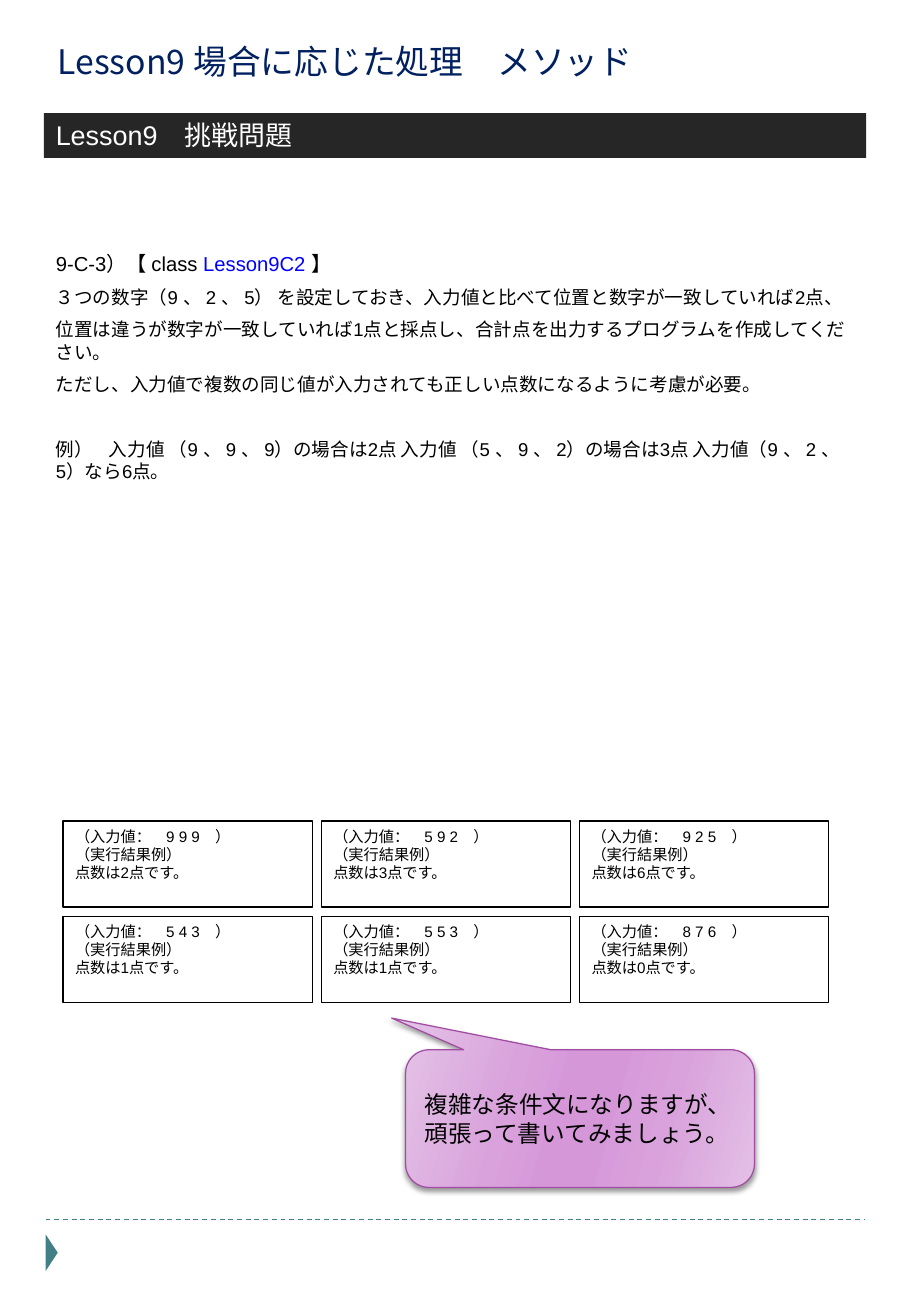
from lxml.etree import SubElement as Sub
from pptx import Presentation
from pptx.dml.color import RGBColor as Rgb
from pptx.enum.dml import MSO_LINE as Dash
from pptx.enum.shapes import MSO_CONNECTOR as Wire, MSO_SHAPE as Kind
from pptx.enum.text import MSO_ANCHOR as Anchor, PP_ALIGN as Align
from pptx.oxml.ns import qn
from pptx.util import Pt

HUES = {
    "black": "000000", "white": "FFFFFF", "bar": "262626", "navy": "002060",
    "blue": "0000FF", "teal": "438086", "plum": "A04DA3",
    "pale": "E3C0E5", "mid": "D9A2DC", "deep": "D697D9",
}
BLEND = [(0, "pale"), (30, "mid"), (45, "deep"), (55, "deep"), (73, "mid"), (100, "pale")]
CASES = [("9 9 9", 2), ("5 9 2", 3), ("9 2 5", 6),
         ("5 4 3", 1), ("5 5 3", 1), ("8 7 6", 0)]
TASK = [
    (0, 12, [("9-C-3）【 class ", "black"), ("Lesson9C2 ", "blue"), ("】", "black")]),
    (6, 11, [("３つの数字（9 、 2 、 5） を設定しておき、入力値と比べて位置と数字が一致していれば2点、", "black")]),
    (6, 11, [("位置は違うが数字が一致していれば1点と採点し、合計点を出力するプログラムを作成してください。", "black")]),
    (6, 11, [("ただし、入力値で複数の同じ値が入力されても正しい点数になるように考慮が必要。", "black")]),
    (25, 11, [("例）\t入力値 （9 、 9 、 9）の場合は2点 入力値 （5 、 9 、 2）の場合は3点 "
               "入力値（9 、 2 、 5）なら6点。", "black")]),
]


def tint(name):
    return Rgb.from_string(HUES[name])


def add_run(para, text, size, hue, font="Arial"):
    run = para.add_run()
    run.text = text
    run.font.size = Pt(size)
    run.font.name = font
    run.font.color.rgb = tint(hue)
    return run


def add_text(shape, lines, size, hue, font="Arial", anchor=Anchor.TOP):
    frame = shape.text_frame
    frame.word_wrap = True
    frame.vertical_anchor = anchor
    for i, line in enumerate(lines):
        para = frame.add_paragraph() if i else frame.paragraphs[0]
        para.alignment = Align.LEFT
        add_run(para, line, size, hue, font)


def add_box(slide, kind, box, fill=None, line=None):
    shape = slide.shapes.add_shape(kind, *map(Pt, box))
    shape.shadow.inherit = False
    if fill:
        shape.fill.solid()
        shape.fill.fore_color.rgb = tint(fill)
    if line:
        shape.line.color.rgb = tint(line)
        shape.line.width = Pt(0.75)
    else:
        shape.line.fill.background()
    return shape


def add_title(slide, x, y, w, h):
    title = slide.shapes.add_textbox(*map(Pt, (x, y, w, h)))
    font = "Noto Sans CJK JP"
    add_text(title, ["Lesson9 場合に応じた処理　メソッド"], 20, "navy", font, Anchor.MIDDLE)
    props = title.text_frame.paragraphs[0].runs[0].font._element
    Sub(props, qn("a:ea"), typeface=font)


def add_bar(slide, x, y, w, h):
    bar = add_box(slide, Kind.RECTANGLE, (x, y, w, h), "bar")
    add_text(bar, ["Lesson9　挑戦問題"], 16, "white")


def add_task(slide, x, y, w, h):
    frame = slide.shapes.add_textbox(*map(Pt, (x, y, w, h))).text_frame
    frame.word_wrap = True
    for i, (gap, size, runs) in enumerate(TASK):
        para = frame.add_paragraph() if i else frame.paragraphs[0]
        para.space_before = Pt(gap)
        for text, hue in runs:
            add_run(para, text, size, hue)
    tabs = Sub(para._p.get_or_add_pPr(), qn("a:tabLst"))
    Sub(tabs, qn("a:tab"), pos=str(Pt(31.5)), algn="l")


def add_cases(slide, x, y, w, h):
    gap = 5.4
    wide, high = (w - 2 * gap) / 3, (h - gap) / 2
    for i, (digits, score) in enumerate(CASES):
        row, col = divmod(i, 3)
        place = (x + col * (wide + gap), y + row * (high + gap), wide, high)
        case = add_box(slide, Kind.RECTANGLE, place, "white", "black")
        lines = [f"（入力値：　{digits}　）", "（実行結果例）", f"点数は{score}点です。"]
        add_text(case, lines, 9, "black")


def add_blend(shape):
    props = shape._element.spPr
    grad = props.find(qn("a:gradFill"))
    for child in list(grad):
        grad.remove(child)
    stops = Sub(grad, qn("a:gsLst"))
    for pos, hue in BLEND:
        stop = Sub(stops, qn("a:gs"), pos=str(pos * 1000))
        Sub(stop, qn("a:srgbClr"), val=HUES[hue])
    Sub(grad, qn("a:lin"), ang=str(16 * 60000), scaled="0")


def add_shade(shape):
    glow = shape._element.spPr.find(qn("a:effectLst"))
    shade = Sub(glow, qn("a:outerShdw"), blurRad=str(Pt(3)), dist=str(Pt(2)),
                dir=str(90 * 60000), algn="ctr", rotWithShape="0")
    hue = Sub(shade, qn("a:srgbClr"), val=HUES["black"])
    Sub(hue, qn("a:alpha"), val="40000")


def add_hint(slide, x, y, w, h):
    hint = add_box(slide, Kind.ROUNDED_RECTANGULAR_CALLOUT, (x, y, w, h), line="plum")
    for i, value in enumerate((-0.54, -0.73, 0.17)):
        hint.adjustments[i] = value
    hint.fill.gradient()
    add_blend(hint)
    add_shade(hint)
    lines = ["複雑な条件文になりますが、", "頑張って書いてみましょう。"]
    add_text(hint, lines, 14, "black", "Calibri", Anchor.MIDDLE)


def add_foot(slide, x, y, w):
    rule = slide.shapes.add_connector(Wire.STRAIGHT, Pt(x), Pt(y), Pt(x + w), Pt(y))
    rule.line.color.rgb = tint("teal")
    rule.line.width = Pt(0.75)
    rule.line.dash_style = Dash.DASH
    Sub(rule._element.spPr, qn("a:effectLst"))
    long, short = 21.8, 7.2
    shift = (long - short) / 2
    mark = add_box(slide, Kind.ISOSCELES_TRIANGLE,
                   (x - shift, y + 8.8 + shift, long, short), "teal")
    mark.rotation = 90


def main():
    deck = Presentation()
    deck.slide_width, deck.slide_height = Pt(540), Pt(780)
    slide = deck.slides.add_slide(deck.slide_layouts[6])
    add_foot(slide, 27, 722.8, 486)
    add_title(slide, 27, 17.3, 486, 38.2)
    add_bar(slide, 26, 67, 487.5, 26.6)
    add_task(slide, 26, 145.5, 486, 160)
    add_cases(slide, 37.4, 486.6, 453.8, 107.4)
    add_hint(slide, 240.4, 622.2, 206.8, 81.6)
    deck.save("out.pptx")


if __name__ == "__main__":
    main()
